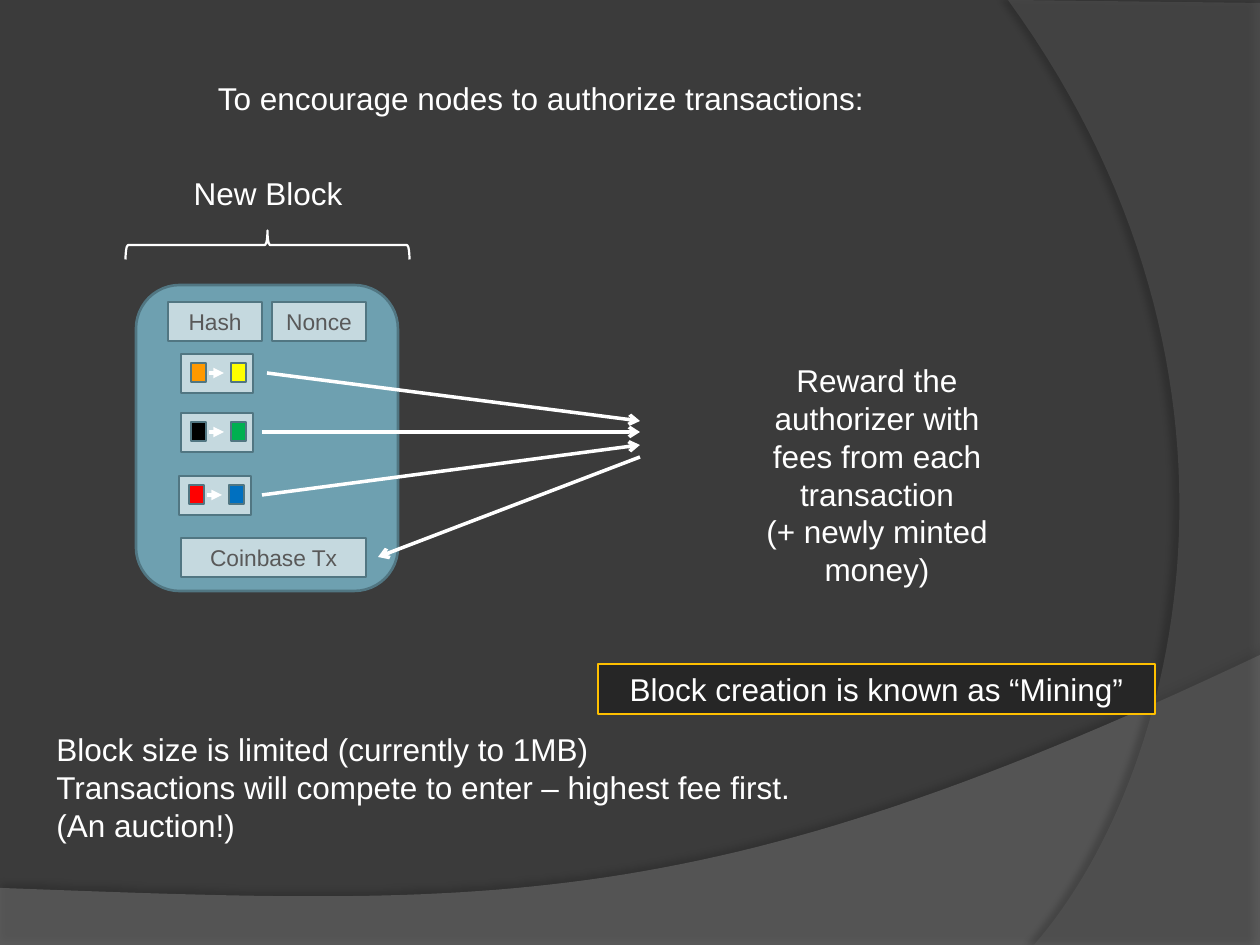
import pptx
import pptx.dml.color
import pptx.enum.shapes
import pptx.enum.text
import pptx.oxml
import pptx.oxml.ns
import pptx.util
from dataclasses import dataclass

SHAPE = pptx.enum.shapes.MSO_SHAPE
ALIGN = pptx.enum.text.PP_ALIGN
EMU_PER_PX = 914400 / 126


@dataclass(frozen=True)
class Theme:
    font: str = "Arial"
    body_size: int = 18
    field_size: int = 13
    background: str = "3B3B3B"
    wave: str = "7F7F7F"
    arc: str = "5E5E5E"
    shadow: str = "000000"
    text: str = "FFFFFF"
    field_text: str = "595959"
    block: str = "6EA0B0"
    field: str = "C5D9DF"
    outline: str = "517682"
    callout: str = "262626"
    callout_line: str = "FFC000"
    orange: str = "FF9900"
    yellow: str = "FFFF00"
    black: str = "000000"
    green: str = "00B050"
    red: str = "FF0000"
    blue: str = "0070C0"


def px(length):
    return round(length * EMU_PER_PX)


def color(value):
    return pptx.dml.color.RGBColor.from_string(value)


def sub_element(parent, tag, **attributes):
    child = pptx.oxml.parse_xml(f"<{tag} {pptx.oxml.ns.nsdecls('a')}/>")
    for name, value in attributes.items():
        child.set(name, str(value))
    parent.append(child)
    return child


def curve(start, control_1, control_2, end, steps=60):
    points = []
    for step in range(steps + 1):
        t = step / steps
        weights = ((1 - t) ** 3, 3 * t * (1 - t) ** 2, 3 * t * t * (1 - t), t ** 3)
        corners = (start, control_1, control_2, end)
        points.append(tuple(sum(w * corner[axis] for w, corner in zip(weights, corners))
                            for axis in (0, 1)))
    return points


class SlideBuilder:
    def __init__(self, slide, theme):
        self.slide = slide
        self.theme = theme
        slide.background.fill.solid()
        slide.background.fill.fore_color.rgb = color(theme.background)

    def paint(self, shape, fill, line, width):
        if fill:
            shape.fill.solid()
            shape.fill.fore_color.rgb = color(fill)
        else:
            shape.fill.background()
        shape.line.color.rgb = color(line)
        shape.line.width = pptx.util.Pt(width)

    def set_lines(self, frame, lines, size, text_color, align):
        frame.word_wrap = True
        for index, line in enumerate(lines):
            paragraph = frame.add_paragraph() if index else frame.paragraphs[0]
            paragraph.text = line
            paragraph.alignment = align
            paragraph.font.name = self.theme.font
            paragraph.font.size = pptx.util.Pt(size)
            paragraph.font.color.rgb = color(text_color)

    def backdrop(self, points, fill, opacity, shadow_opacity, distance, direction):
        corners = [(px(x), px(y)) for x, y in points]
        builder = self.slide.shapes.build_freeform(*corners[0], scale=1.0)
        builder.add_line_segments(corners[1:], close=True)
        shape = builder.convert_to_shape()
        shape.fill.solid()
        shape.fill.fore_color.rgb = color(fill)
        shape.line.fill.background()
        shape.shadow.inherit = False
        properties = shape._element.spPr
        fill_color = properties.find(pptx.oxml.ns.qn("a:solidFill"))[0]
        sub_element(fill_color, "a:alpha", val=opacity * 1000)
        shadow = sub_element(properties.find(pptx.oxml.ns.qn("a:effectLst")), "a:outerShdw",
                             blurRad=pptx.util.Pt(4), dist=pptx.util.Pt(distance),
                             dir=direction * 60000, algn="ctr", rotWithShape=0)
        shadow_color = sub_element(shadow, "a:srgbClr", val=self.theme.shadow)
        sub_element(shadow_color, "a:alpha", val=shadow_opacity * 1000)

    def shape(self, kind, left, top, width, height, fill, line=None, weight=1.5, parent=None):
        shapes = (parent or self.slide).shapes
        shape = shapes.add_shape(kind, px(left), px(top), px(width), px(height))
        self.paint(shape, fill, line or self.theme.outline, weight)
        shape.shadow.inherit = False
        return shape

    def field(self, left, top, width, text):
        shape = self.shape(SHAPE.RECTANGLE, left, top, width, 39, self.theme.field)
        frame = shape.text_frame
        frame.margin_left = frame.margin_right = 0
        frame.vertical_anchor = pptx.enum.text.MSO_ANCHOR.MIDDLE
        self.set_lines(frame, [text], self.theme.field_size, self.theme.field_text, ALIGN.CENTER)

    def text(self, left, top, width, height, *lines, align=ALIGN.CENTER):
        box = self.slide.shapes.add_textbox(px(left), px(top), px(width), px(height))
        self.set_lines(box.text_frame, lines, self.theme.body_size, self.theme.text, align)
        box.text_frame.auto_size = pptx.enum.text.MSO_AUTO_SIZE.SHAPE_TO_FIT_TEXT
        return box

    def callout(self, left, top, width, height, text):
        box = self.text(left, top, width, height, text)
        self.paint(box, self.theme.callout, self.theme.callout_line, 0.75)

    def brace(self, left, top, width, height):
        shape = self.shape(SHAPE.RIGHT_BRACE, left, top, width, height, None,
                           self.theme.text, 1.25)
        shape.rotation = 270

    def arrow(self, start, end, head="arrow", parent=None):
        connector = (parent or self.slide).shapes.add_connector(
            pptx.enum.shapes.MSO_CONNECTOR.STRAIGHT,
            px(start[0]), px(start[1]), px(end[0]), px(end[1]))
        connector.line.color.rgb = color(self.theme.text)
        connector.line.width = pptx.util.Pt(2)
        properties = connector._element.spPr
        sub_element(properties.find(pptx.oxml.ns.qn("a:ln")), "a:tailEnd", type=head)
        sub_element(properties, "a:effectLst")

    def transaction(self, left, top, source, target):
        group = self.slide.shapes.add_group_shape()
        self.shape(SHAPE.RECTANGLE, left, top, 72, 39, self.theme.field, parent=group)
        for offset, fill in ((10, source), (50, target)):
            self.shape(SHAPE.RECTANGLE, left + offset, top + 9, 15, 19, fill, parent=group)
        self.arrow((left + 28, top + 19), (left + 43, top + 19), "triangle", group)


def main():
    presentation = pptx.Presentation()
    presentation.slide_width = px(1260)
    presentation.slide_height = px(945)
    theme = Theme()
    builder = SlideBuilder(presentation.slides.add_slide(presentation.slide_layouts[6]), theme)

    wave = curve((1260, 655), (704, 919), (493, 906), (0, 888))
    builder.backdrop([(0, 945), (1260, 945)] + wave, theme.wave, 45, 35, 3.5, 270)
    arc = curve((1034, 945), (1178, 780), (1283, 378), (1008, 0))
    builder.backdrop([(1260, 3), (1260, 945)] + arc, theme.arc, 40, 45, 4, 180)

    builder.text(158, 73, 766, 50, "To encourage nodes to authorize transactions:")
    builder.text(126, 168, 284, 50, "New Block")
    builder.brace(253, 103, 29, 284)

    builder.shape(SHAPE.ROUNDED_RECTANGLE, 136, 285, 262, 306, theme.block)
    builder.field(168, 302, 94, "Hash")
    builder.field(272, 302, 94, "Nonce")
    builder.field(181, 538, 185, "Coinbase Tx")
    for left, top, source, target in (
        (181, 354, theme.orange, theme.yellow),
        (181, 413, theme.black, theme.green),
        (179, 476, theme.red, theme.blue),
    ):
        builder.transaction(left, top, source, target)

    for start, end in (
        ((267, 373), (640, 421)),
        ((262, 432), (640, 432)),
        ((262, 495), (640, 445)),
        ((640, 457), (378, 557)),
    ):
        builder.arrow(start, end)

    builder.text(735, 355, 284, 242,
                 "Reward the authorizer with fees from each transaction",
                 "(+ newly minted money)")
    builder.callout(598, 664, 557, 50, "Block creation is known as “Mining”")
    builder.text(44, 724, 881, 127,
                 "Block size is limited (currently to 1MB)",
                 "Transactions will compete to enter – highest fee first.\v(An auction!)",
                 align=ALIGN.LEFT)
    presentation.save("out.pptx")


if __name__ == "__main__":
    main()
